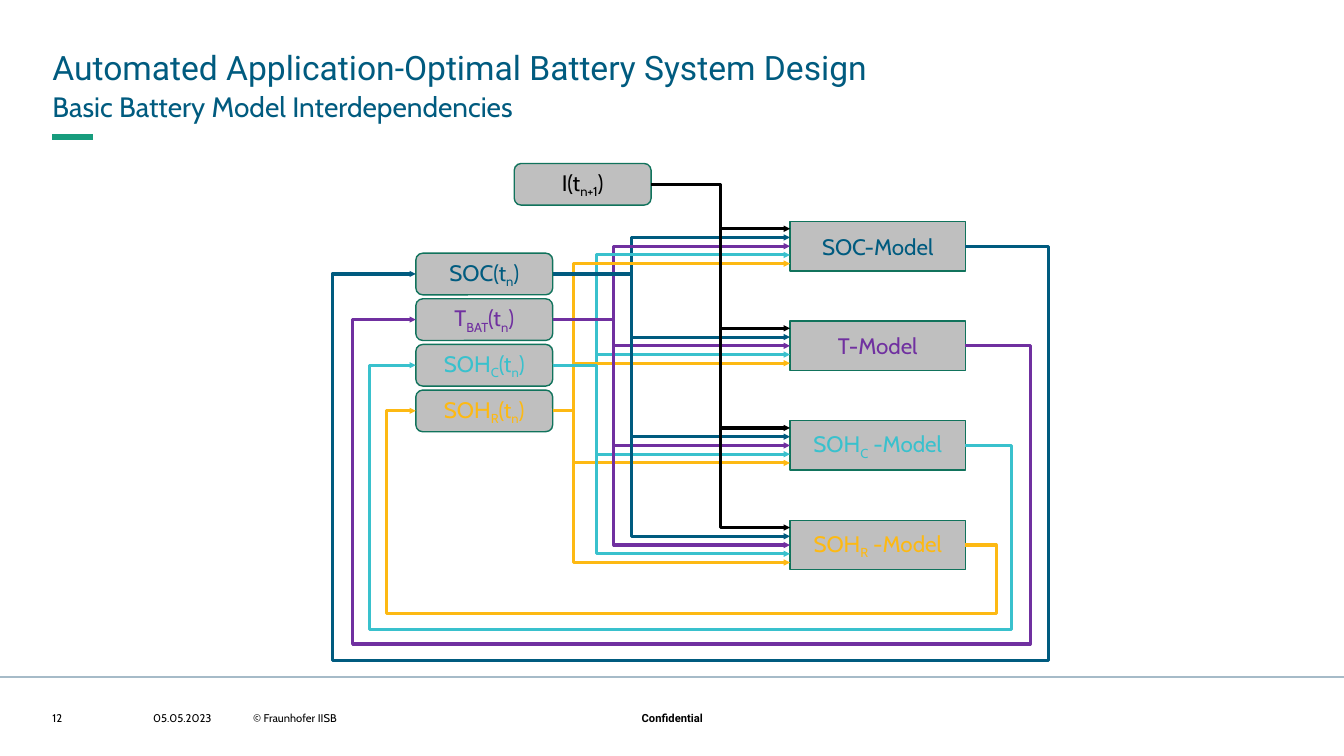
import pptx
import pptx.util
import pptx.dml.color
import pptx.enum.shapes
import pptx.enum.text
import pptx.oxml.ns
import lxml.etree

Cm, Pt = pptx.util.Cm, pptx.util.Pt
SHAPE = pptx.enum.shapes.MSO_SHAPE
CONNECTOR = pptx.enum.shapes.MSO_CONNECTOR
ALIGN = pptx.enum.text.PP_ALIGN
ANCHOR = pptx.enum.text.MSO_ANCHOR
qn = pptx.oxml.ns.qn

COLORS = {
    "black": "000000", "blue": "005B7F", "purple": "7030A0", "cyan": "39C1CD",
    "yellow": "FDB913", "gray": "BFBFBF", "outline": "11735C",
    "accent": "179C7D", "rule": "A6BBC8",
}

# Text, left, top, width, height, size, font, colour, bold, alignment, anchor, line spacing
TEXTS = [
    ("Automated Application-Optimal Battery System Design", 1.32, 1.09, 31.19, 1.07,
     24, "Roboto", "blue", False, ALIGN.LEFT, ANCHOR.TOP, 1.1),
    ("Basic Battery Model Interdependencies", 1.32, 2.16, 31.19, 0.89,
     20, "Cabin", "blue", False, ALIGN.LEFT, ANCHOR.TOP, 1.1),
    ("12", 1.32, 17.93, 2, 0.33, 8, "Cabin", "black", False, ALIGN.LEFT, ANCHOR.MIDDLE, 1),
    ("05.05.2023", 3.86, 17.93, 2, 0.33, 8, "Cabin", "black", False, ALIGN.LEFT, ANCHOR.MIDDLE, 1),
    ("© Fraunhofer IISB", 6.38, 17.93, 8.2, 0.33, 8, "Cabin", "black", False, ALIGN.LEFT, ANCHOR.MIDDLE, 1),
    ("Confidential", 14.94, 17.93, 4.01, 0.33, 8, "Roboto", "black", True, ALIGN.CENTER, ANCHOR.TOP, 1),
]

# Parts between underscores are subscripts.
# State, model, colour, bus x, then right, bottom and left of the feedback loop
QUANTITIES = [
    ("SOC(t_n_)", "SOC-Model", "blue", 15.91, 26.44, 16.64, 8.38),
    ("T_BAT_(t_n_)", "T-Model", "purple", 15.47, 25.96, 16.23, 8.89),
    ("SOH_C_(t_n_)", "SOH_C_ -Model", "cyan", 15.03, 25.5, 15.87, 9.32),
    ("SOH_R_(t_n_)", "SOH_R_ -Model", "yellow", 14.45, 25.1, 15.47, 9.73),
]
CURRENT = ("I(t_n+1_)", "black", 18.16)

STATE_LEFT, STATE_TOP, STATE_PITCH = 10.48, 6.38, 1.15
STATE_WIDTH, STATE_HEIGHT = 3.45, 1.05
CURRENT_LEFT, CURRENT_TOP = 12.96, 4.12
MODEL_LEFT, MODEL_TOP, MODEL_PITCH = 19.91, 5.58, 2.51
MODEL_WIDTH, MODEL_HEIGHT = 4.42, 1.25
INPUT_GAP = 0.22


def rgb(name):
    return pptx.dml.color.RGBColor.from_string(COLORS[name])


def add_text(slide, text, left, top, width, height, size, font, color, bold, align, anchor, spacing):
    frame = slide.shapes.add_textbox(Cm(left), Cm(top), Cm(width), Cm(height)).text_frame
    frame.margin_left = frame.margin_right = frame.margin_top = frame.margin_bottom = 0
    frame.word_wrap = True
    frame.vertical_anchor = anchor
    frame.text = text
    para = frame.paragraphs[0]
    para.alignment, para.line_spacing = align, spacing
    font_format = para.runs[0].font
    font_format.name, font_format.size, font_format.bold = font, Pt(size), bold
    font_format.color.rgb = rgb(color)


def add_box(slide, kind, label, color, left, top, width, height):
    box = slide.shapes.add_shape(kind, Cm(left), Cm(top), Cm(width), Cm(height))
    box.shadow.inherit = False
    box.fill.solid()
    box.fill.fore_color.rgb = rgb("gray")
    box.line.color.rgb = rgb("outline")
    box.line.width = Pt(1)
    box.text_frame.vertical_anchor = ANCHOR.MIDDLE
    para = box.text_frame.paragraphs[0]
    para.alignment = ALIGN.CENTER
    for index, part in enumerate(label.split("_")):
        span = para.add_run()
        span.text = part
        span.font.name, span.font.size = "Cabin", Pt(16)
        span.font.color.rgb = rgb(color)
        if index % 2:
            span.font._element.set("baseline", "-25000")


def add_line(slide, kind, start, end, color, width):
    line = slide.shapes.add_connector(kind, *(Cm(value) for value in (*start, *end)))
    line.line.color.rgb = rgb(color)
    line.line.width = Pt(width)
    lxml.etree.SubElement(line._element.spPr, qn("a:effectLst"))
    return line


def add_arrow(slide, start, end, color, bends):
    """Draw an elbow arrow; bends alternate the x and y of its inner segments."""
    arrow = add_line(slide, CONNECTOR.ELBOW, start, end, color, 2.25)
    geometry = arrow._element.spPr.find(qn("a:prstGeom"))
    geometry.set("prst", f"bentConnector{len(bends) + 2}")
    guides = geometry.find(qn("a:avLst"))
    for index, bend in enumerate(bends):
        axis = index % 2
        share = (bend - start[axis]) / (end[axis] - start[axis])
        lxml.etree.SubElement(guides, qn("a:gd"), name=f"adj{index + 1}",
                              fmla=f"val {round(share * 100000)}")
    outline = arrow._element.spPr.find(qn("a:ln"))
    lxml.etree.SubElement(outline, qn("a:tailEnd"), type="triangle", w="sm", len="sm")


def fix_single_bends(bends):
    return bends if len(bends) > 1 else [bends[0]]


def add_diagram(slide):
    state_right = STATE_LEFT + STATE_WIDTH
    model_right = MODEL_LEFT + MODEL_WIDTH
    current_label, current_color, current_bus = CURRENT
    add_box(slide, SHAPE.ROUNDED_RECTANGLE, current_label, current_color,
            CURRENT_LEFT, CURRENT_TOP, STATE_WIDTH, STATE_HEIGHT)
    sources = [(CURRENT_LEFT + STATE_WIDTH, CURRENT_TOP + STATE_HEIGHT / 2, current_color, current_bus)]
    model_centers = []
    for row, (state, model, color, bus, *loop) in enumerate(QUANTITIES):
        state_top = STATE_TOP + row * STATE_PITCH
        model_top = MODEL_TOP + row * MODEL_PITCH
        state_center = state_top + STATE_HEIGHT / 2
        model_center = model_top + MODEL_HEIGHT / 2
        add_box(slide, SHAPE.ROUNDED_RECTANGLE, state, color,
                STATE_LEFT, state_top, STATE_WIDTH, STATE_HEIGHT)
        add_box(slide, SHAPE.RECTANGLE, model, color,
                MODEL_LEFT, model_top, MODEL_WIDTH, MODEL_HEIGHT)
        add_arrow(slide, (model_right, model_center), (STATE_LEFT, state_center), color, loop)
        sources.append((state_right, state_center, color, bus))
        model_centers.append(model_center)
    for center in model_centers:
        for slot, (x, y, color, bus) in enumerate(sources):
            add_arrow(slide, (x, y), (MODEL_LEFT, center + (slot - 2) * INPUT_GAP), color, [bus])


def main():
    deck = pptx.Presentation()
    deck.slide_width, deck.slide_height = Cm(33.87), Cm(19.05)
    slide = deck.slides.add_slide(deck.slide_layouts[6])
    add_line(slide, CONNECTOR.STRAIGHT, (1.32, 3.45), (2.34, 3.45), "accent", 4)
    add_line(slide, CONNECTOR.STRAIGHT, (0, 17.07), (33.87, 17.07), "rule", 1.5)
    for text in TEXTS:
        add_text(slide, *text)
    add_diagram(slide)
    deck.save("out.pptx")


if __name__ == "__main__":
    main()
